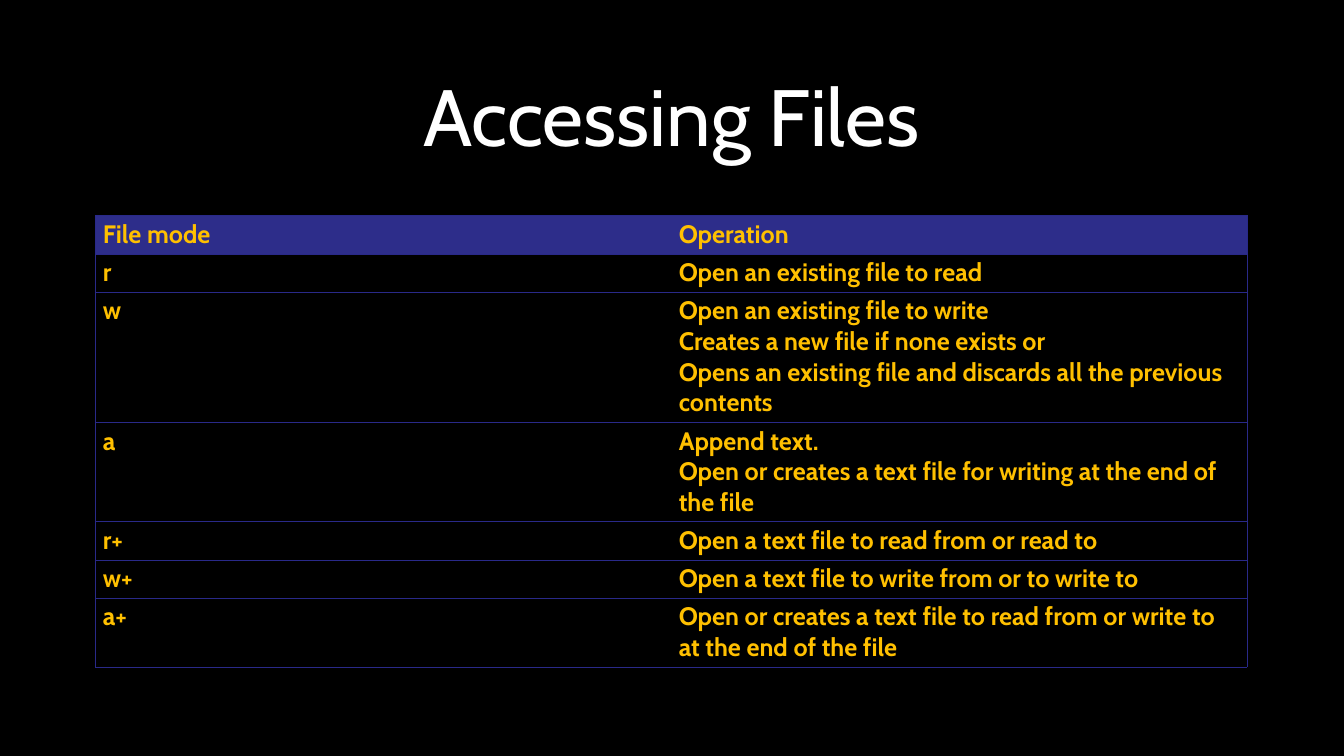
from lxml import etree
from pptx import Presentation
from pptx import util as u
from pptx.dml.color import RGBColor
from pptx.enum import text
from pptx.oxml import ns

# Content: file mode, lines of its operation, text rows once wrapped
TITLE = "Accessing Files"
MODES = [
    ("File mode", ["Operation"], 1),
    ("r", ["Open an existing file to read"], 1),
    ("w", ["Open an existing file to write",
           "Creates a new file if none exists or",
           "Opens an existing file and discards all the previous contents"], 4),
    ("a", ["Append text.",
           "Open or creates a text file for writing at the end of the file"], 3),
    ("r+", ["Open a text file to read from or read to"], 1),
    ("w+", ["Open a text file to write from or to write to"], 1),
    ("a+", ["Open or creates a text file to read from or write to "
            "at the end of the file"], 2),
]

THEME = {
    "font": "Cabin", "title_size": 76, "cell_size": 24,
    "background": "000000", "title": "FFFFFF", "cell": "FFC000",
    "header": "2D2D8A", "border": "292989", "border_width": 0.34,
    "plain_table": "{2D5ABB26-0587-4C30-8999-92F81FD0307C}",
}
LEFT, WIDTH = 1.26, 15.24
TITLE_TOP, TITLE_HEIGHT, TITLE_INSET = 0.26, 2.51, 0.04
TABLE_TOP = 2.85
LINE_HEIGHT, CELL_PADDING = 0.4, 0.1


def style_font(font, size, color, bold=False):
    font.name, font.size, font.bold = THEME["font"], u.Pt(size), bold
    font.color.rgb = RGBColor.from_string(color)


def set_borders(cell, sides):
    """Draw the named sides (of L, R, T, B) and clear the others."""
    properties = cell._tc.get_or_add_tcPr()
    for place, side in enumerate("LRTB"):
        line = etree.Element(ns.qn(f"a:ln{side}"), w=str(u.Pt(THEME["border_width"])))
        if side in sides:
            paint = etree.SubElement(line, ns.qn("a:solidFill"))
            etree.SubElement(paint, ns.qn("a:srgbClr"), val=THEME["border"])
        else:
            etree.SubElement(line, ns.qn("a:noFill"))
        properties.insert(place, line)


def add_title(slide):
    title = slide.shapes.title
    title.left, title.top = u.Inches(LEFT), u.Inches(TITLE_TOP)
    title.width, title.height = u.Inches(WIDTH), u.Inches(TITLE_HEIGHT)
    frame = title.text_frame
    frame.text = TITLE
    frame.word_wrap = True
    frame.vertical_anchor = text.MSO_ANCHOR.MIDDLE
    frame.margin_left = frame.margin_right = u.Inches(TITLE_INSET)
    frame.margin_top = frame.margin_bottom = u.Inches(TITLE_INSET)
    heading = frame.paragraphs[0]
    heading.alignment = text.PP_ALIGN.CENTER
    style_font(heading.font, THEME["title_size"], THEME["title"])


def add_modes(slide):
    heights = [lines * LINE_HEIGHT + CELL_PADDING for _, _, lines in MODES]
    holder = slide.shapes.add_table(
        len(MODES), 2, u.Inches(LEFT), u.Inches(TABLE_TOP),
        u.Inches(WIDTH), u.Inches(sum(heights)))
    for style in holder.element.iter(ns.qn("a:tableStyleId")):
        style.text = THEME["plain_table"]
    modes = holder.table
    modes.horz_banding = False

    for row, (mode, operation, _) in enumerate(MODES):
        modes.rows[row].height = u.Inches(heights[row])
        for column, wording in enumerate((mode, "\n".join(operation))):
            cell = modes.cell(row, column)
            cell.text = wording
            for paragraph in cell.text_frame.paragraphs:
                style_font(paragraph.font, THEME["cell_size"], THEME["cell"], bold=True)
            if row == 0:
                cell.fill.solid()
                cell.fill.fore_color.rgb = RGBColor.from_string(THEME["header"])
            else:
                cell.fill.background()
            set_borders(cell, ("LTB", "RTB")[column])


def main():
    deck = Presentation()
    deck.slide_width, deck.slide_height = u.Inches(17.78), u.Inches(10)
    slide = deck.slides.add_slide(deck.slide_layouts.get_by_name("Title Only"))
    slide.background.fill.solid()
    slide.background.fill.fore_color.rgb = RGBColor.from_string(THEME["background"])
    add_title(slide)
    add_modes(slide)
    deck.save("out.pptx")


if __name__ == "__main__":
    main()
